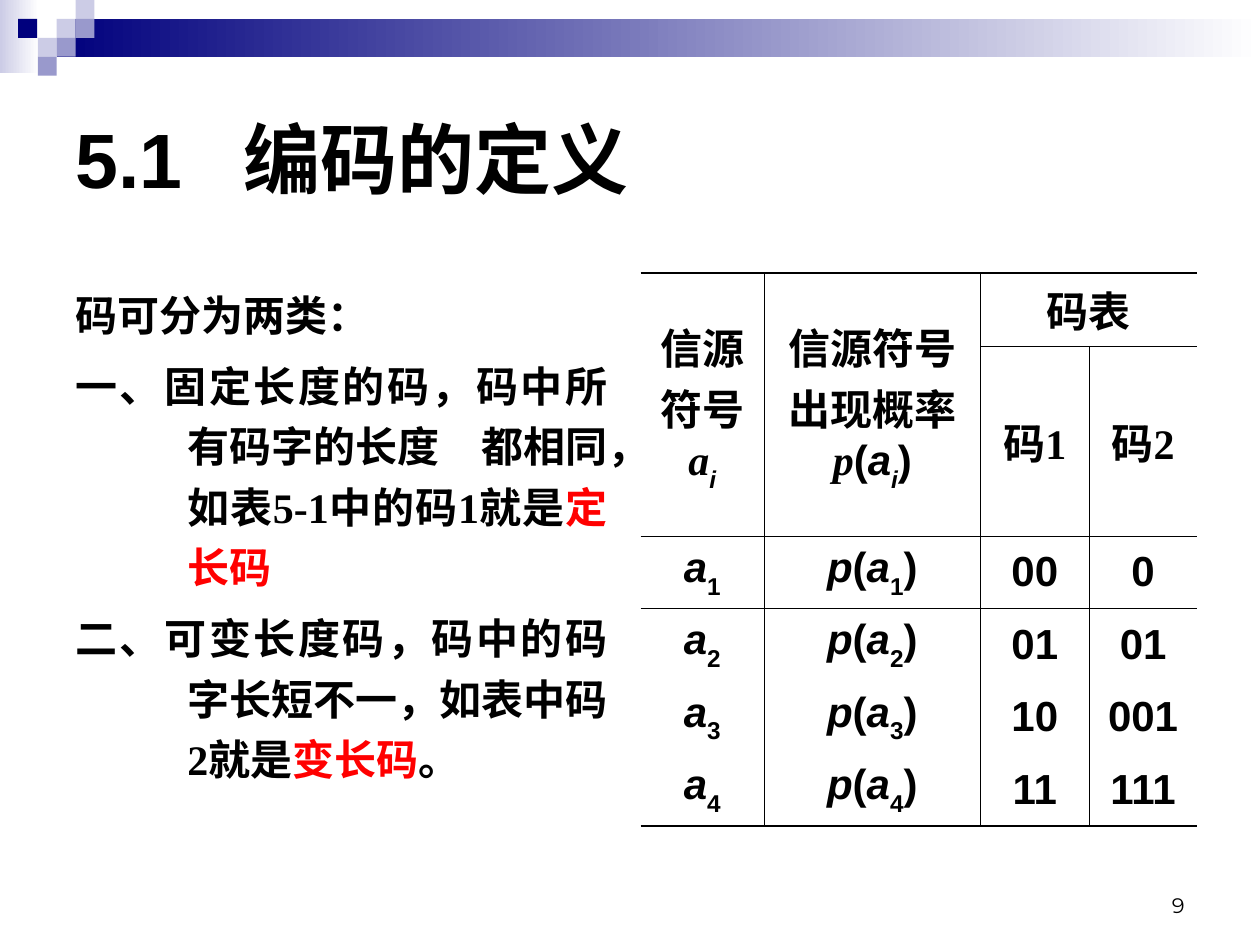
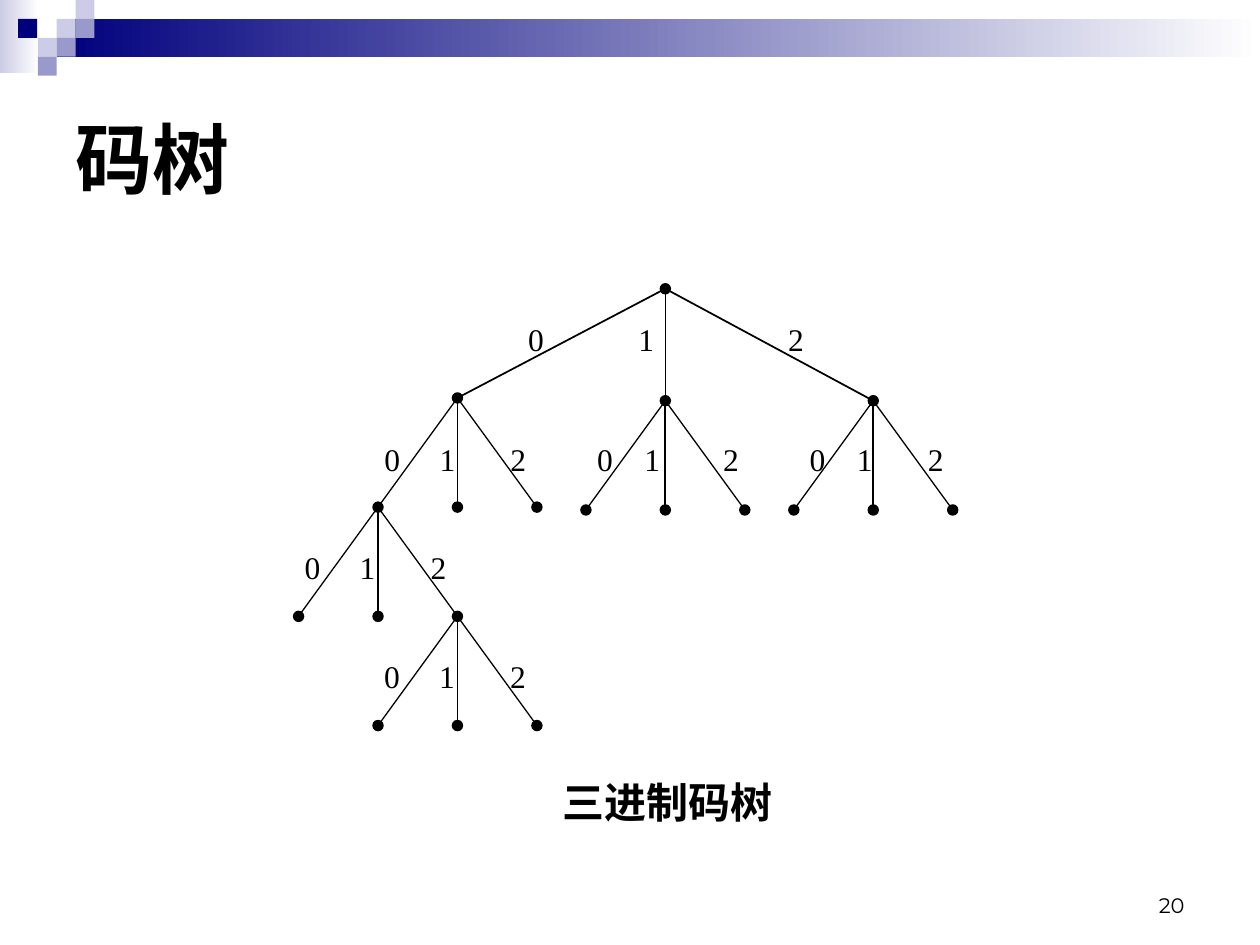
import dataclasses

import lxml.etree
import pptx
import pptx.dml.color
import pptx.enum.shapes
import pptx.enum.text
import pptx.oxml.ns
import pptx.util

Pt = pptx.util.Pt
RGB = pptx.dml.color.RGBColor.from_string
ALIGN = pptx.enum.text.PP_ALIGN
ANCHOR = pptx.enum.text.MSO_ANCHOR
SHAPE = pptx.enum.shapes.MSO_SHAPE
qn = pptx.oxml.ns.qn


@dataclasses.dataclass(frozen=True)
class Theme:
    ink: str = "000000"
    accent: str = "FF0000"
    navy: str = "00007D"
    violet: str = "9999CC"
    lilac: str = "CCCCE6"
    white: str = "FFFFFF"
    sans: str = "Arial"
    serif: str = "Times New Roman"
    footer: str = "Montserrat"
    title_size: int = 44
    body_size: int = 24
    label_size: int = 18
    footer_size: int = 12


theme = Theme()


def add_box(slide, left, top, width, height, anchor=ANCHOR.TOP):
    frame = slide.shapes.add_textbox(Pt(left), Pt(top), Pt(width), Pt(height)).text_frame
    frame.word_wrap = True
    frame.vertical_anchor = anchor
    return frame


def write(paragraph, runs, size, font, bold=False, alignment=ALIGN.LEFT, stops=()):
    paragraph.alignment = alignment
    if stops:
        tab_list = lxml.etree.SubElement(paragraph._p.get_or_add_pPr(), qn("a:tabLst"))
        for stop in stops:
            lxml.etree.SubElement(tab_list, qn("a:tab"), pos=str(Pt(stop)), algn="l")
    paragraph.font.name = font
    paragraph.font.size = Pt(size)
    paragraph.font.bold = bold
    paragraph.font.color.rgb = RGB(theme.ink)
    for text, *styles in runs:
        run = paragraph.add_run()
        run.text = text
        if "italic" in styles:
            run.font.italic = True
        if "serif" in styles:
            run.font.name = theme.serif
        if "accent" in styles:
            run.font.color.rgb = RGB(theme.accent)
        if "subscript" in styles:
            run.font._element.set("baseline", "-30000")


presentation = pptx.Presentation()
presentation.slide_width = Pt(720)
presentation.slide_height = Pt(540)

tile = 10.8
header_shapes = [
    (0, 0, 22.3, 41.8, theme.lilac, True),
    (32.4, tile, 687.6, 21.6, theme.navy, True),
    (32.4, tile, tile, tile, theme.lilac, False),
    (43.2, 0, tile, tile, theme.lilac, False),
    (43.2, tile, tile, tile, theme.violet, False),
    (21.6, 21.6, tile, tile, theme.lilac, False),
    (10.4, tile, tile, tile, theme.navy, False),
    (32.4, 21.6, tile, tile, theme.violet, False),
    (21.6, 32.4, tile, tile, theme.violet, False),
]
slides = []
for title, number in [("5.1\t编码的定义", "9"), ("码树", "20")]:
    slide = presentation.slides.add_slide(presentation.slide_layouts[6])
    for left, top, width, height, color, fades in header_shapes:
        shape = slide.shapes.add_shape(SHAPE.RECTANGLE, Pt(left), Pt(top), Pt(width), Pt(height))
        shape.shadow.inherit = False
        shape.line.fill.background()
        if fades:
            shape.fill.gradient()
            shape.fill.gradient_angle = 0
            for stop, stop_color in zip(shape.fill.gradient_stops, (color, theme.white)):
                stop.color.rgb = RGB(stop_color)
        else:
            shape.fill.solid()
            shape.fill.fore_color.rgb = RGB(color)
    number_frame = add_box(slide, 516, 492, 168, 36, ANCHOR.BOTTOM)
    write(number_frame.paragraphs[0], [(number,)], theme.footer_size, theme.footer, alignment=ALIGN.RIGHT)
    title_frame = add_box(slide, 36, 36, 648, 108, ANCHOR.MIDDLE)
    write(title_frame.paragraphs[0], [(title,)], theme.title_size, theme.sans, True,
          stops=[96] if "\t" in title else [])
    slides.append(slide)

definition_slide, tree_slide = slides

body = add_box(definition_slide, 36, 156, 318.2, 306)
body_paragraphs = [
    [("码可分为两类：",)],
    [("一、固定长度的码，码中所有码字的长度　都相同，如表5-1中的码1就是",), ("定长码", "accent")],
    [("二、可变长度码，码中的码字长短不一，如表中码2就是",), ("变长码", "accent"), ("。",)],
]
for index, runs in enumerate(body_paragraphs):
    paragraph = body.add_paragraph() if index else body.paragraphs[0]
    write(paragraph, runs, theme.body_size, theme.serif, True, ALIGN.JUSTIFY)
    paragraph.line_spacing = 1.2
    if index:
        paragraph.space_before = Pt(6)
    properties = paragraph._p.get_or_add_pPr()
    properties.set("marL", str(Pt(64)))
    properties.set("indent", str(Pt(-64)))

cell_runs = {
    (0, 0): [("信源符号", "serif"), ("a", "serif", "italic"), ("i", "italic", "subscript")],
    (0, 1): [("信源符号出现概率", "serif"), ("p", "serif", "italic"), ("(",), ("a", "italic"),
             ("i", "italic", "subscript"), (")",)],
    (0, 2): [("码表", "serif")],
    (1, 2): [("码1", "serif")],
    (1, 3): [("码2", "serif")],
}
codes = [("00", "0"), ("01", "01"), ("10", "001"), ("11", "111")]
for index, (fixed_code, variable_code) in enumerate(codes, 1):
    symbol = [("a", "italic"), (str(index), "subscript")]
    cell_runs[index + 1, 0] = symbol
    cell_runs[index + 1, 1] = [("p", "italic"), ("(",), *symbol, (")",)]
    cell_runs[index + 1, 2] = [(fixed_code,)]
    cell_runs[index + 1, 3] = [(variable_code,)]

column_widths = [70.6, 123.8, 61.9, 61.9]
row_heights = [41.8, 108.6, 41.4, 41.4, 41.4, 41.4]
table = definition_slide.shapes.add_table(
    len(row_heights), len(column_widths), Pt(366), Pt(156), Pt(sum(column_widths)), Pt(sum(row_heights))).table
table.first_row = False
table.horz_banding = False
table._tbl.tblPr.find(qn("a:tableStyleId")).text = "{2D5ABB26-0587-4C30-8999-92F81FD0307C}"
for column, width in zip(table.columns, column_widths):
    column.width = Pt(width)
for row, height in zip(table.rows, row_heights):
    row.height = Pt(height)
table.cell(0, 0).merge(table.cell(1, 0))
table.cell(0, 1).merge(table.cell(1, 1))
table.cell(0, 2).merge(table.cell(0, 3))

thin, thick = 0.45, 0.96
for row in range(6):
    for column in range(4):
        cell = table.cell(row, column)
        cell.vertical_anchor = ANCHOR.MIDDLE
        cell.fill.background()
        if (row, column) in cell_runs:
            write(cell.text_frame.paragraphs[0], cell_runs[row, column], theme.body_size,
                  theme.sans, True, ALIGN.CENTER)
        borders = {}
        if column > 0 and (row, column) != (0, 3):
            borders["a:lnL"] = thin
        if column < 3 and (row, column) != (0, 2):
            borders["a:lnR"] = thin
        if row == 0:
            borders["a:lnT"] = thick
        elif row == 2 or (row == 1 and column >= 2):
            borders["a:lnT"] = thin
        if row == 5:
            borders["a:lnB"] = thick
        elif row == 1 or (row == 0 and column >= 2):
            borders["a:lnB"] = thin
        cell_properties = cell._tc.get_or_add_tcPr()
        for position, (tag, weight) in enumerate(borders.items()):
            border = lxml.etree.Element(qn(tag), w=str(Pt(weight)))
            border_fill = lxml.etree.SubElement(border, qn("a:solidFill"))
            lxml.etree.SubElement(border_fill, qn("a:srgbClr"), val=theme.ink)
            cell_properties.insert(position, border)

level = 62.4
root_x, root_y, root_spread, spread = 380.2, 165, 118.8, 45.4
left_x, right_x = root_x - root_spread, root_x + root_spread
left_y, right_y = root_y + level, root_y + 64
branches = [
    (root_x, root_y, root_spread, (level, 64, 64)),
    (left_x, left_y, spread, (level,) * 3),
    (root_x, right_y, spread, (level,) * 3),
    (right_x, right_y, spread, (level,) * 3),
    (left_x - spread, left_y + level, spread, (level,) * 3),
    (left_x, left_y + 2 * level, spread, (level,) * 3),
]
nodes = {(root_x, root_y)}
for x, y, reach, drops in branches:
    for side, drop in zip((-1, 0, 1), drops):
        child_x, child_y = round(x + side * reach, 1), round(y + drop, 1)
        nodes.add((child_x, child_y))
        edge = tree_slide.shapes.add_connector(
            pptx.enum.shapes.MSO_CONNECTOR.STRAIGHT, Pt(x), Pt(y), Pt(child_x), Pt(child_y))
        edge.line.color.rgb = RGB(theme.ink)
        edge.line.width = Pt(1 if (side == 0) != (reach == root_spread) else 0.75)
        lxml.etree.SubElement(edge._element.spPr, qn("a:effectLst"))

diameter = 5.8
for x, y in sorted(nodes):
    node = tree_slide.shapes.add_shape(
        SHAPE.OVAL, Pt(x - diameter / 2), Pt(y - diameter / 2), Pt(diameter), Pt(diameter))
    node.shadow.inherit = False
    node.fill.solid()
    node.fill.fore_color.rgb = RGB(theme.ink)
    node.line.color.rgb = RGB(theme.ink)
    node.line.width = Pt(0.75)

label_rows = [
    (218.2, 179.3, 351.4, "\t0\t1\t2", [76.5, 139.5, 225]),
    (190.1, 247.7, 396.7, "\t0\t1\t2" * 3, [22.5, 54, 94.5, 144, 171, 216, 265.5, 292.5, 333]),
    (167, 309.6, 181.4, "0\t1\t2", [31.5, 72]),
    (212.4, 372.2, 181.4, "0\t1\t2", [31.5, 72]),
]
for left, top, width, labels, stops in label_rows:
    label_frame = add_box(tree_slide, left, top, width, 28.8)
    write(label_frame.paragraphs[0], [(labels,)], theme.label_size, theme.serif, stops=stops)

caption = add_box(tree_slide, 314.6, 440, 159, 36)
write(caption.paragraphs[0], [("三进制码树",)], theme.body_size, theme.serif, True)

presentation.save("out.pptx")
